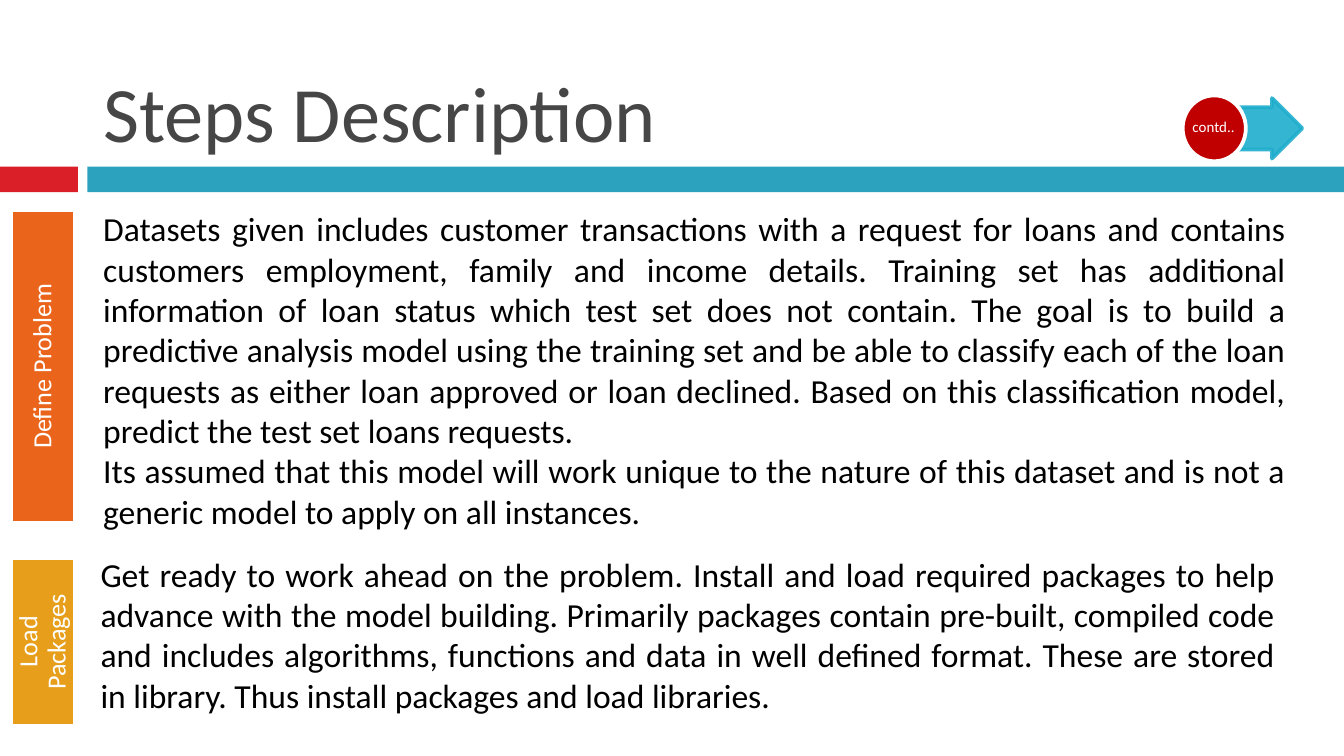
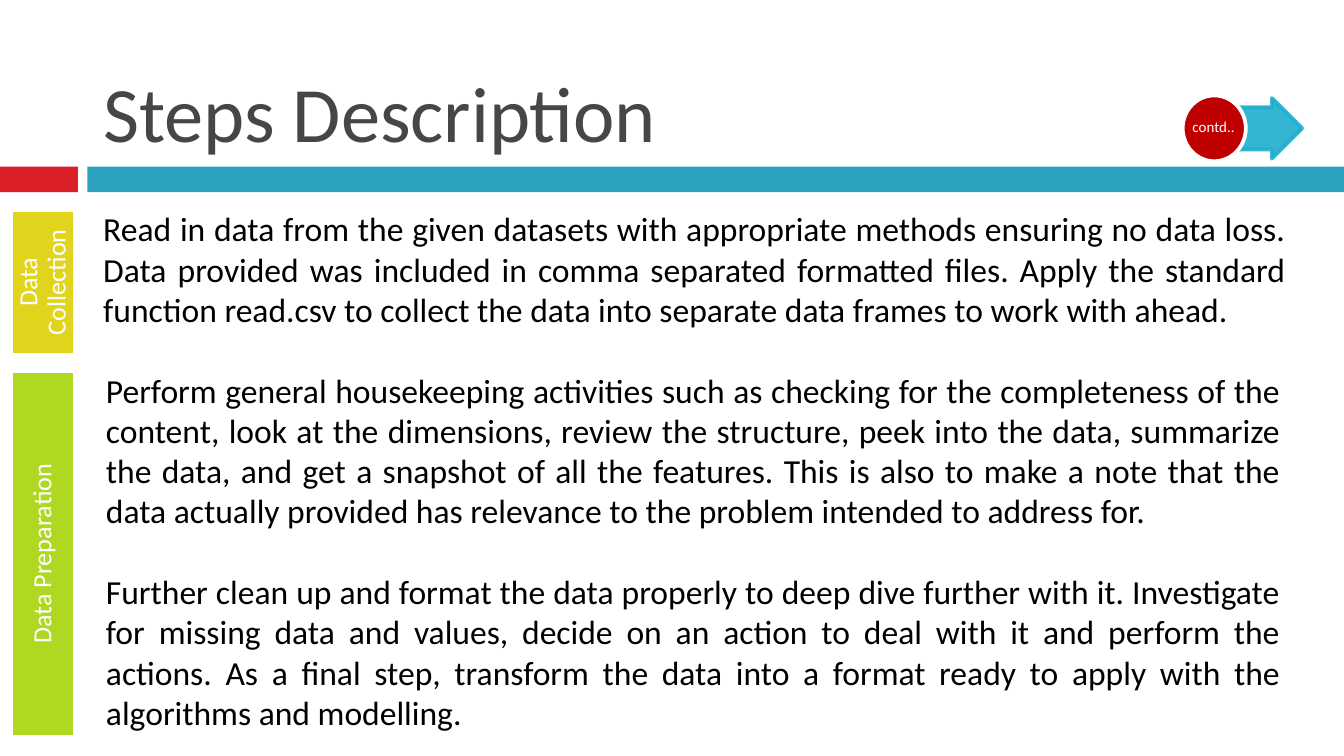
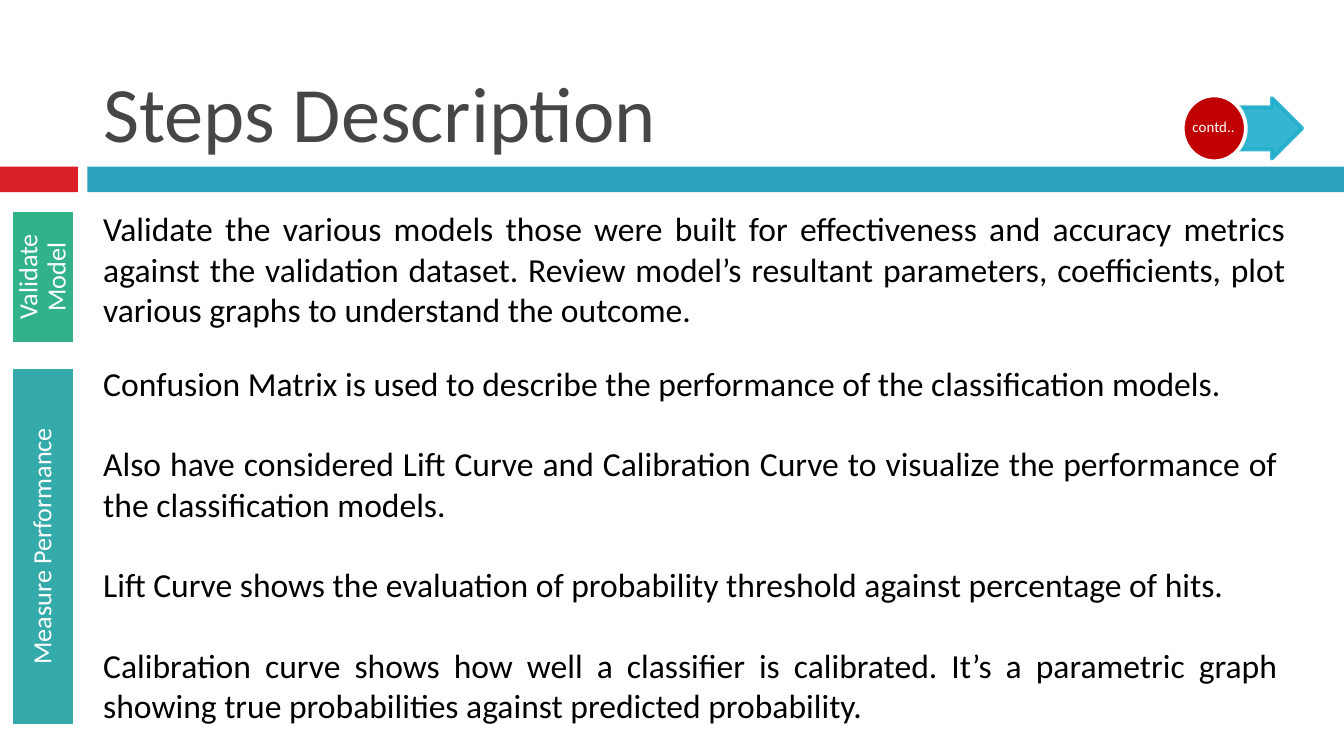
from lxml import etree
from pptx import Presentation
from pptx.dml.color import RGBColor
from pptx.enum.shapes import MSO_SHAPE as Shape
from pptx.enum.text import MSO_ANCHOR as Anchor, MSO_AUTO_SIZE as AutoSize, PP_ALIGN as Align
from pptx.oxml.ns import qn
from pptx.util import Inches, Pt

COLORS = {
    "title": "464646", "body": "000000", "white": "FFFFFF",
    "red_band": "DA1F28", "teal_band": "2DA2BF",
    "arrow": "1FAECD", "badge": "C00000",
    "define": "EB641B", "load": "E69E1B", "collect": "E0D41D",
    "prepare": "AED821", "validate": "31B28B", "measure": "34ABAA",
}
FONT = "Calibri"
SLIDE_WIDTH = 10
SLIDE_HEIGHT = SLIDE_WIDTH * 9 / 16
TAG_CENTER, TAG_THICKNESS = 0.32, 0.48
BLANK_LINE = 21.6


def color(name):
    """Return the named colour."""
    return RGBColor.from_string(COLORS[name])


def write_text(frame, text, size=18, ink="body", align=Align.LEFT, anchor=Anchor.TOP,
               inset=None, line_spacing=None, gap=0):
    """Fill a frame with text, one paragraph per line, gap points apart."""
    frame.word_wrap = True
    frame.vertical_anchor = anchor
    if inset is not None:
        frame.margin_left = frame.margin_right = Inches(inset)
        frame.margin_top = frame.margin_bottom = Inches(inset)
    for index, line in enumerate(text.split("\n")):
        paragraph = frame.add_paragraph() if index else frame.paragraphs[0]
        paragraph.alignment = align
        if line_spacing:
            paragraph.line_spacing = line_spacing
        if index and gap:
            paragraph.space_before = Pt(gap)
        run = paragraph.add_run()
        run.text = line
        run.font.name = FONT
        run.font.size = Pt(size)
        run.font.color.rgb = color(ink)


def set_opacity(fill_parent, percent):
    """Make the solid fill under an XML element partly transparent."""
    tint = fill_parent.find(qn("a:solidFill")).find(qn("a:srgbClr"))
    etree.SubElement(tint, qn("a:alpha")).set("val", str(percent * 1000))


class StepsDeck:
    """Holds the presentation, its style and the current slide."""

    def __init__(self):
        """Start a widescreen presentation."""
        self.deck = Presentation()
        self.deck.slide_width = Inches(SLIDE_WIDTH)
        self.deck.slide_height = Inches(SLIDE_HEIGHT)
        self.slide = None

    def new_slide(self, title):
        """Add a slide with the shared bands and title."""
        self.slide = self.deck.slides.add_slide(self.deck.slide_layouts[6])
        self.block(Shape.RECTANGLE, 0, 1.24, 0.58, 0.19, "red_band")
        self.block(Shape.RECTANGLE, 0.65, 1.24, 9.35, 0.19, "teal_band")
        self.text_box(title, 0.67, 0.13, 8.92, 1.1, size=42, ink="title",
                      anchor=Anchor.BOTTOM)

    def block(self, kind, left, top, width, height, fill, line=None, parent=None):
        """Add a filled preset shape, outlined if a line colour is given."""
        shapes = (parent or self.slide).shapes
        block = shapes.add_shape(kind, Inches(left), Inches(top), Inches(width), Inches(height))
        block.shadow.inherit = False
        block.fill.solid()
        block.fill.fore_color.rgb = color(fill)
        if line:
            block.line.color.rgb = color(line)
            block.line.width = Pt(2)
        else:
            block.line.fill.background()
        return block

    def text_box(self, text, left, top, width, height, parent=None, **style):
        """Add a text box."""
        shapes = (parent or self.slide).shapes
        box = shapes.add_textbox(Inches(left), Inches(top), Inches(width), Inches(height))
        write_text(box.text_frame, text, **style)
        return box

    def tag(self, label, top, length, fill):
        """Add a step label that reads upwards along the left edge."""
        tag = self.block(Shape.RECTANGLE, TAG_CENTER - length / 2,
                         top + (length - TAG_THICKNESS) / 2,
                         length, TAG_THICKNESS, fill, line="white")
        tag.rotation = 270
        write_text(tag.text_frame, label, size=14, ink="white", align=Align.CENTER,
                   anchor=Anchor.MIDDLE, inset=0.11, line_spacing=0.9)

    def description(self, text, left, top, width, height, gap=0):
        """Add the justified description of a step."""
        box = self.text_box(text, left, top, width, height, align=Align.JUSTIFY, gap=gap)
        box.text_frame.auto_size = AutoSize.SHAPE_TO_FIT_TEXT

    def continued(self):
        """Add the arrow and badge that point to the next slide."""
        group = self.slide.shapes.add_group_shape()
        arrow = self.block(Shape.RIGHT_ARROW, 9.03, 0.73, 0.66, 0.45, "arrow", "arrow", group)
        arrow.adjustments[0], arrow.adjustments[1] = 0.7, 0.5
        properties = arrow.element.spPr
        set_opacity(properties, 90)
        set_opacity(properties.find(qn("a:ln")), 90)
        self.block(Shape.OVAL, 8.8, 0.71, 0.47, 0.49, "badge", "white", group)
        self.text_box("contd..", 8.86, 0.78, 0.34, 0.34, parent=group, size=8, ink="white",
                      align=Align.CENTER, anchor=Anchor.MIDDLE, inset=0, line_spacing=0.9)


# Each step: tag (label, top, length, colour), description box, gap, text
SLIDES = [
    [
        (("Define Problem", 1.56, 2.33, "define"), (0.67, 1.5, 9, 2.52), 0,
         "Datasets given includes customer transactions with a request for loans and contains "
         "customers employment, family and income details. Training set has additional "
         "information of loan status which test set does not contain. The goal is to build a "
         "predictive analysis model using the training set and be able to classify each of the "
         "loan requests as either loan approved or loan declined. Based on this classification "
         "model, predict the test set loans requests.\n"
         "Its assumed that this model will work unique to the nature of this dataset and is not "
         "a generic model to apply on all instances."),
        (("Load Packages", 4.15, 1.25, "load"), (0.65, 4.07, 8.94, 1.31), 0,
         "Get ready to work ahead on the problem. Install and load required packages to help "
         "advance with the model building. Primarily packages contain pre-built, compiled code "
         "and includes algorithms, functions and data in well defined format. These are stored "
         "in library. Thus install packages and load libraries."),
    ],
    [
        (("Data Collection", 1.56, 1.08, "collect"), (0.67, 1.5, 9, 1.01), 0,
         "Read in data from the given datasets with appropriate methods ensuring no data loss. "
         "Data provided was included in comma separated formatted files. Apply the standard "
         "function read.csv to collect the data into separate data frames to work with ahead."),
        (("Data Preparation", 2.76, 2.72, "prepare"), (0.69, 2.7, 8.94, 2.83), BLANK_LINE,
         "Perform general housekeeping activities such as checking for the completeness of the "
         "content, look at the dimensions, review the structure, peek into the data, summarize "
         "the data, and get a snapshot of all the features. This is also to make a note that "
         "the data actually provided has relevance to the problem intended to address for.\n"
         "Further clean up and format the data properly to deep dive further with it. "
         "Investigate for missing data and values, decide on an action to deal with it and "
         "perform the actions. As a final step, transform the data into a format ready to apply "
         "with the algorithms and modelling."),
    ],
    [
        (("Validate Model", 1.56, 1, "validate"), (0.67, 1.5, 9, 1.01), 0,
         "Validate the various models those were built for effectiveness and accuracy metrics "
         "against the validation dataset. Review model’s resultant parameters, coefficients, "
         "plot various graphs to understand the outcome."),
        (("Measure Performance", 2.73, 2.67, "measure"), (0.67, 2.65, 8.94, 2.83), BLANK_LINE,
         "Confusion Matrix is used to describe the performance of the classification models.\n"
         "Also have considered Lift Curve and Calibration Curve to visualize the performance of "
         "the classification models.\n"
         "Lift Curve shows the evaluation of probability threshold against percentage of hits.\n"
         "Calibration curve shows how well a classifier is calibrated. It’s a parametric graph "
         "showing true probabilities against predicted probability."),
    ],
]

steps_deck = StepsDeck()
for steps in SLIDES:
    steps_deck.new_slide("Steps Description")
    for tag, area, gap, text in steps:
        steps_deck.tag(*tag)
        steps_deck.description(text, *area, gap=gap)
    steps_deck.continued()
steps_deck.deck.save("out.pptx")
